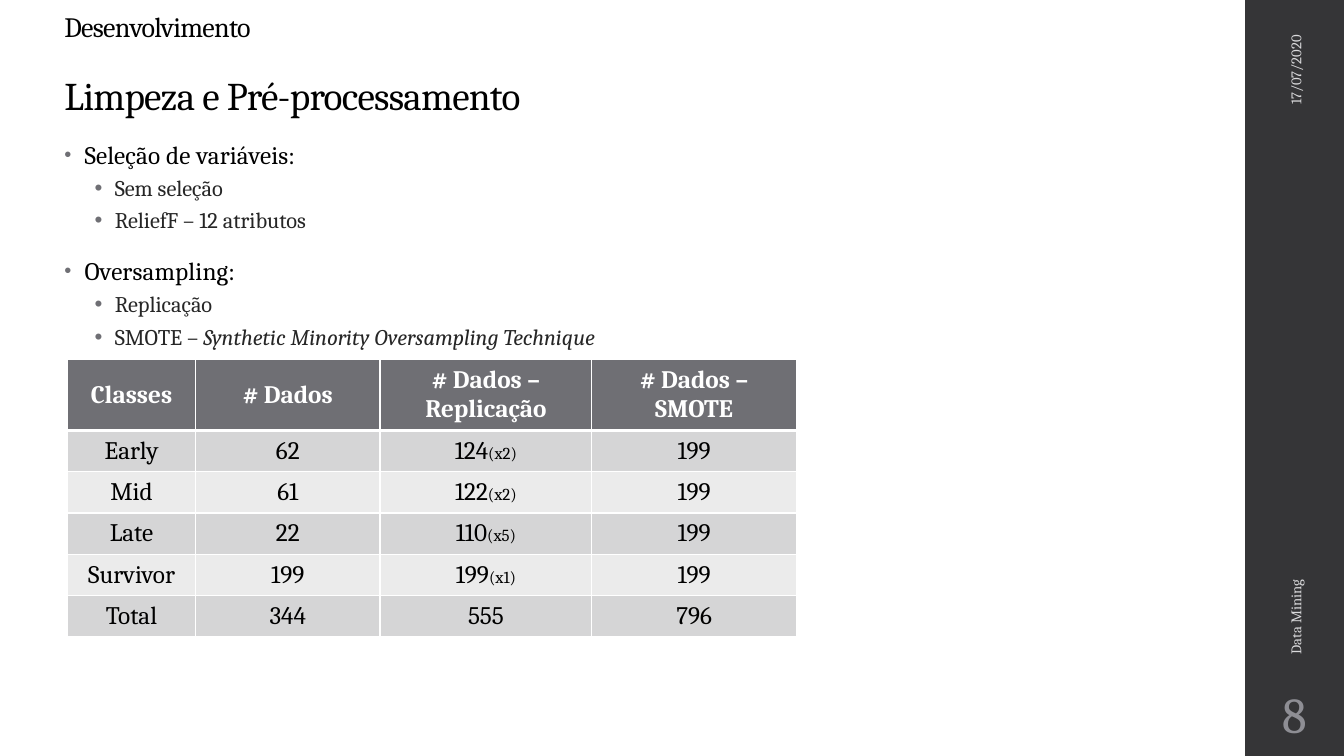
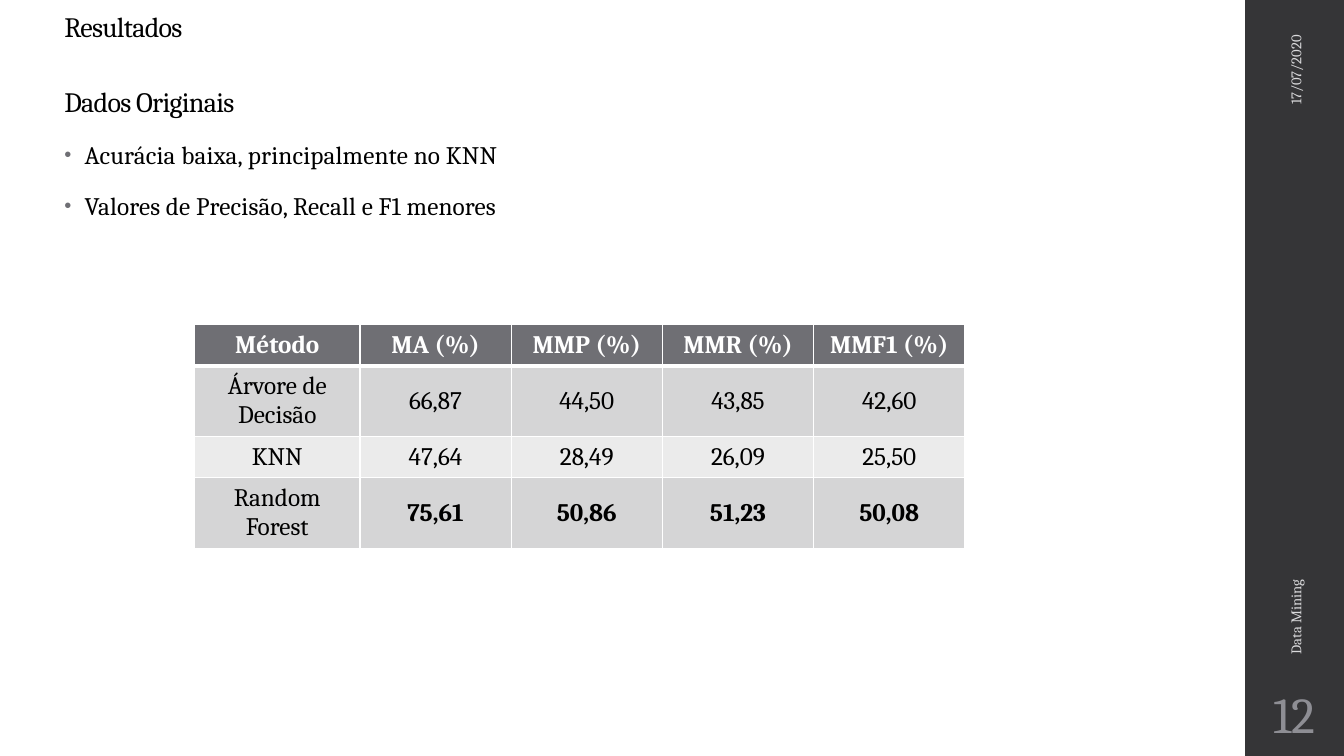
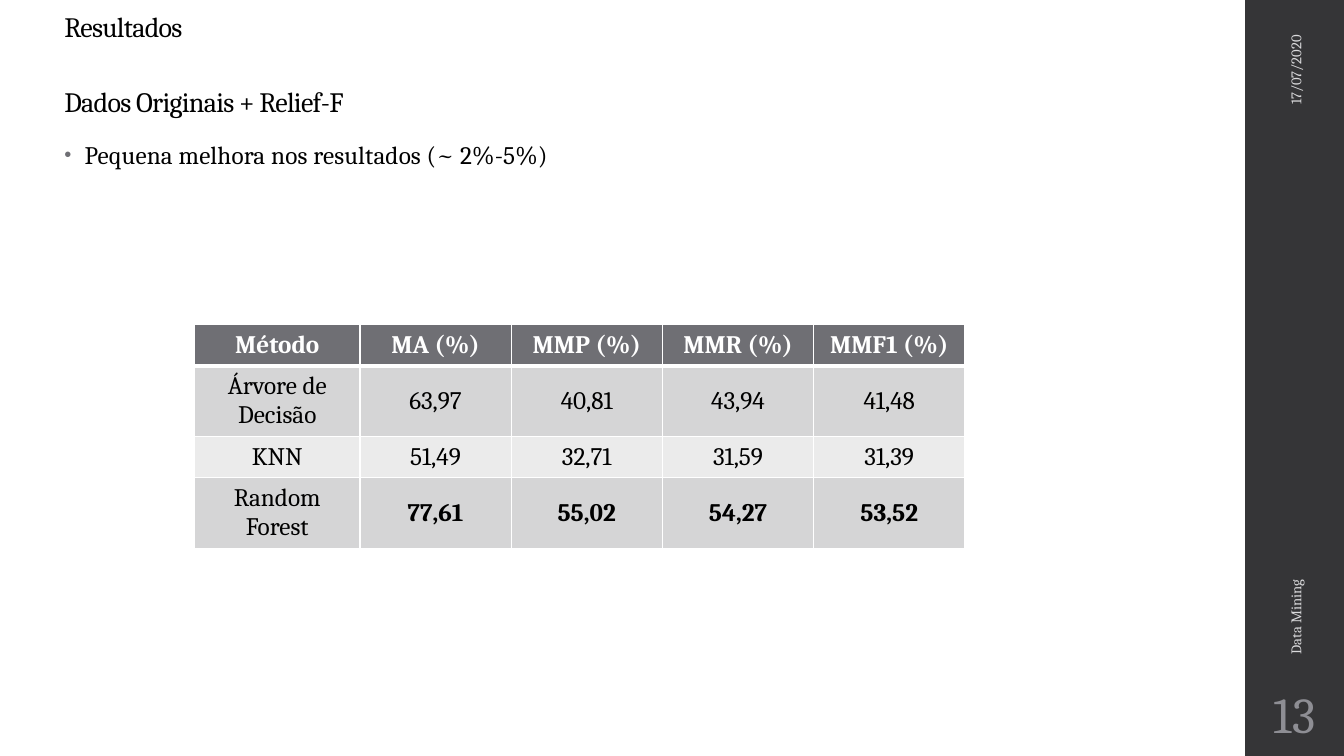
from dataclasses import dataclass

from lxml import etree
from pptx import Presentation
from pptx.dml.color import RGBColor
from pptx.enum.shapes import MSO_SHAPE
from pptx.enum.text import MSO_ANCHOR, PP_ALIGN
from pptx.oxml.ns import qn
from pptx.util import Pt

PX = 9144  # EMU per px, 100 px to the inch
RECT = MSO_SHAPE.RECTANGLE
LEFT, CENTER, RIGHT = PP_ALIGN.LEFT, PP_ALIGN.CENTER, PP_ALIGN.RIGHT
TOP, MIDDLE, BOTTOM = MSO_ANCHOR.TOP, MSO_ANCHOR.MIDDLE, MSO_ANCHOR.BOTTOM


@dataclass(frozen=True)
class Theme:
    font: str = "Cambria"
    # Colours
    ink: str = "000000"
    soft_ink: str = "262626"
    paper: str = "FFFFFF"
    band: str = "353537"
    accent: str = "6F6F74"
    footer: str = "D9D9DB"
    number: str = "8E8E94"
    stripes: tuple = ("D5D5D6", "EBEBEB")
    # Type sizes in points
    title_size: float = 20
    heading_size: float = 28
    body_size: float = 18
    sub_size: float = 16
    note_size: float = 12
    footer_size: float = 10.5
    number_size: float = 36


@dataclass(frozen=True)
class Level:
    indent: int
    line: float
    before: int
    after: int
    bullet_pct: int
    size: float
    color: str
    spacing: int


class Deck:
    def __init__(self, theme):
        self.t = theme
        self.levels = (
            Level(20, 0.95, 14, 2, 80, theme.body_size, theme.ink, 10),
            Level(50, 0.9, 3, 3, 100, theme.sub_size, theme.soft_ink, 0),
        )
        self.prs = Presentation()
        self.prs.slide_width, self.prs.slide_height = 1333 * PX, 750 * PX
        self.s = None

    def slide(self, number, title, heading, heading_size):
        """Start a slide with its titles, side band and footers."""
        t = self.t
        self.s = self.prs.slides.add_slide(self.prs.slide_layouts[6])
        self.band(1235, 0, 98, 750)
        self.title(10, 38, title, t.title_size)
        self.title(49, 74, heading, heading_size)
        self.label(1089, 443, 392, 40, "Data Mining", LEFT, rotation=270)
        self.label(1181, 109, 208, 40, "17/07/2020", RIGHT, rotation=270)
        self.label(1235, 675, 98, 65, str(number), CENTER,
                   t.number_size, t.number, side=5)

    def band(self, x, y, w, h):
        sp = self.s.shapes.add_shape(RECT, x * PX, y * PX, w * PX, h * PX)
        sp.shadow.inherit = False
        sp.fill.solid()
        sp.fill.fore_color.rgb = RGBColor.from_string(self.t.band)
        sp.line.fill.background()

    def box(self, x, y, w, h, anchor, rotation=0, side=10):
        sp = self.s.shapes.add_textbox(x * PX, y * PX, w * PX, h * PX)
        sp.rotation = rotation
        tf = sp.text_frame
        tf.word_wrap = True
        tf.vertical_anchor = anchor
        tf.margin_left = tf.margin_right = side * PX
        return tf

    def run(self, p, text, size, color, bold=False, italic=False, spacing=0):
        r = p.add_run()
        r.text = text
        r.font.name, r.font.size = self.t.font, Pt(size)
        r.font.bold, r.font.italic = bold, italic
        r.font.color.rgb = RGBColor.from_string(color)
        if spacing:
            r.font._element.set("spc", str(spacing))

    def title(self, y, h, text, size):
        p = self.box(54, y, 1179, h, BOTTOM).paragraphs[0]
        p.line_spacing = 0.9
        self.run(p, text, size, self.t.ink, spacing=-50)

    def label(self, x, y, w, h, text, align, size=None, color=None,
              rotation=0, side=10):
        p = self.box(x, y, w, h, MIDDLE, rotation, side).paragraphs[0]
        p.alignment = align
        self.run(p, text, size or self.t.footer_size, color or self.t.footer)

    def bullets(self, items):
        """Each item is (level, text) or (level, text, italic text)."""
        tf = self.box(54, 135, 1040, 568, TOP)
        for i, (depth, *texts) in enumerate(items):
            level = self.levels[depth]
            p = tf.add_paragraph() if i else tf.paragraphs[0]
            p.level = depth
            p.line_spacing = level.line
            p.space_before, p.space_after = Pt(level.before), Pt(level.after)
            self.bullet(p, level)
            for j, text in enumerate(texts):
                self.run(p, text, level.size, level.color,
                         italic=j > 0, spacing=level.spacing)

    def bullet(self, p, level):
        pPr = p._p.get_or_add_pPr()
        pPr.set("marL", str(level.indent * PX))
        pPr.set("indent", str(-20 * PX))
        color = etree.SubElement(pPr, qn("a:buClr"))
        etree.SubElement(color, qn("a:srgbClr"), val=self.t.accent)
        etree.SubElement(pPr, qn("a:buSzPct"), val=str(level.bullet_pct * 1000))
        etree.SubElement(pPr, qn("a:buFont"), typeface="Arial")
        etree.SubElement(pPr, qn("a:buChar"), char="•")

    def table(self, x, y, widths, heights, rows, bold_last=False):
        """A cell is a text, or a (text, small note) pair."""
        frame = self.s.shapes.add_table(len(rows), len(widths), x * PX, y * PX,
                                        sum(widths) * PX, sum(heights) * PX)
        table = frame.table
        table.horz_banding = False
        for column, w in zip(table.columns, widths):
            column.width = w * PX
        for i, (row, h) in enumerate(zip(rows, heights)):
            table.rows[i].height = h * PX
            for j, value in enumerate(row):
                strong = bold_last and i == len(rows) - 1 and j > 0
                self.cell(table.cell(i, j), value, i, strong)

    def cell(self, cell, value, row, strong):
        t = self.t
        header = row == 0
        self.borders(cell, top=3 if row == 1 else 1, bottom=3 if header else 1)
        cell.fill.solid()
        fill = t.accent if header else t.stripes[(row - 1) % 2]
        cell.fill.fore_color.rgb = RGBColor.from_string(fill)
        cell.vertical_anchor = MIDDLE
        p = cell.text_frame.paragraphs[0]
        p.alignment = CENTER
        texts = (value,) if isinstance(value, str) else value
        for text, size in zip(texts, (t.body_size, t.note_size)):
            self.run(p, text, size, t.paper if header else t.ink,
                     bold=header or strong)

    def borders(self, cell, top, bottom):
        tcPr = cell._tc.get_or_add_tcPr()
        for side, width in (("L", 1), ("R", 1), ("T", top), ("B", bottom)):
            ln = etree.SubElement(tcPr, qn(f"a:ln{side}"), w=str(Pt(width)))
            fill = etree.SubElement(ln, qn("a:solidFill"))
            etree.SubElement(fill, qn("a:srgbClr"), val=self.t.paper)


def cleaning_slide(deck):
    deck.slide(8, "Desenvolvimento", "Limpeza e Pré-processamento",
               deck.t.heading_size)
    deck.bullets([
        (0, "Seleção de variáveis:"),
        (1, "Sem seleção"),
        (1, "ReliefF – 12 atributos"),
        (0, "Oversampling:"),
        (1, "Replicação"),
        (1, "SMOTE – ", "Synthetic Minority Oversampling Technique"),
    ])
    deck.table(67, 357, (127, 183, 210, 203), (67,) + (41,) * 5, [
        ("Classes", "# Dados", "# Dados – Replicação", "# Dados – SMOTE"),
        ("Early", "62", ("124", "(x2)"), "199"),
        ("Mid", "61", ("122", "(x2)"), "199"),
        ("Late", "22", ("110", "(x5)"), "199"),
        ("Survivor", "199", ("199", "(x1)"), "199"),
        ("Total", "344", "555", "796"),
    ])


def results_slide(deck, number, heading, remarks, scores):
    deck.slide(number, "Resultados", heading, deck.t.title_size)
    deck.bullets([(0, remark) for remark in remarks])
    methods = ("Árvore de Decisão", "KNN", "Random Forest")
    header = ("Método", "MA (%)", "MMP (%)", "MMR (%)", "MMF1 (%)")
    rows = [(method, *score) for method, score in zip(methods, scores)]
    deck.table(193, 322, (164,) + (150,) * 4, (41, 67, 41, 67),
               [header, *rows], bold_last=True)


def main():
    deck = Deck(Theme())
    cleaning_slide(deck)
    results_slide(
        deck, 12, "Dados Originais",
        ["Acurácia baixa, principalmente no KNN",
         "Valores de Precisão, Recall e F1 menores"],
        [("66,87", "44,50", "43,85", "42,60"),
         ("47,64", "28,49", "26,09", "25,50"),
         ("75,61", "50,86", "51,23", "50,08")])
    results_slide(
        deck, 13, "Dados Originais + Relief-F",
        ["Pequena melhora nos resultados (~ 2%-5%)"],
        [("63,97", "40,81", "43,94", "41,48"),
         ("51,49", "32,71", "31,59", "31,39"),
         ("77,61", "55,02", "54,27", "53,52")])
    deck.prs.save("out.pptx")


if __name__ == "__main__":
    main()
